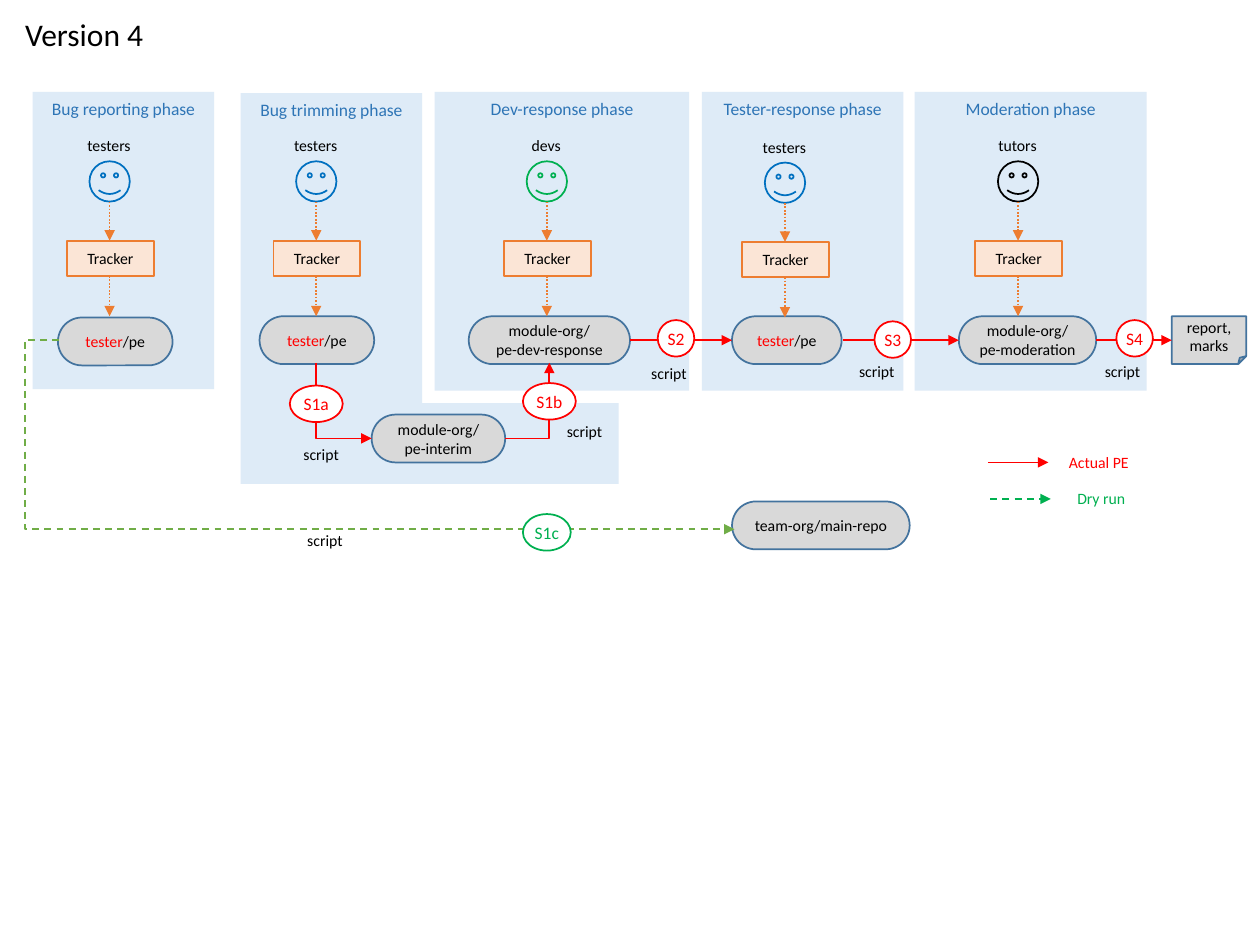
from lxml import etree
from pptx import Presentation
from pptx.dml.color import RGBColor
from pptx.enum.dml import MSO_LINE
from pptx.enum.shapes import MSO_CONNECTOR, MSO_SHAPE
from pptx.enum.text import MSO_ANCHOR, PP_ALIGN
from pptx.oxml.ns import qn
from pptx.util import Inches, Pt

TOP, MIDDLE = MSO_ANCHOR.TOP, MSO_ANCHOR.MIDDLE
LEFT, CENTER = PP_ALIGN.LEFT, PP_ALIGN.CENTER
DOT, DASH = MSO_LINE.ROUND_DOT, MSO_LINE.DASH
RECT, PILL = MSO_SHAPE.RECTANGLE, MSO_SHAPE.ROUNDED_RECTANGLE
FACE, NOTE = MSO_SHAPE.SMILEY_FACE, MSO_SHAPE.FOLDED_CORNER
BADGE = MSO_SHAPE.FLOWCHART_CONNECTOR
STRAIGHT, ELBOW = MSO_CONNECTOR.STRAIGHT, MSO_CONNECTOR.ELBOW

COLORS = {
    "panel": "DEEBF7", "heading": "2E75B6", "repo": "D9D9D9", "repo_line": "43739E",
    "tool": "FBE5D6", "orange": "ED7D31", "red": "FF0000", "green": "00B050",
    "dry": "70AD47", "blue": "0070C0", "black": "000000", "white": "FFFFFF",
}
REPO_TOP, REPO_HEIGHT = 2.51, 0.38
FLOW_Y = 2.7

PANELS = [  # left, top, width, height, heading
    (3.34, 3.2, 1.57, 0.64, ""),
    (7.26, 0.73, 1.84, 2.37, "Moderation phase"),
    (5.57, 0.73, 1.6, 2.37, "Tester-response phase"),
    (3.45, 0.73, 2.02, 2.37, "Dev-response phase"),
    (1.91, 0.74, 1.44, 3.1, "Bug trimming phase"),
    (0.26, 0.73, 1.44, 2.36, "Bug reporting phase"),
]
TRACKS = [  # center, shift down, role, face color
    (0.87, 0, "testers", "blue"),
    (2.51, 0, "testers", "blue"),
    (4.34, 0, "devs", "green"),
    (6.23, 0.01, "testers", "blue"),
    (8.08, 0, "tutors", "black"),
]
REPOS = [  # left, top, width, name
    (3.72, REPO_TOP, 1.28, "module-org/\npe-dev-response"),
    (7.61, REPO_TOP, 1.09, "module-org/\npe-moderation"),
    (2.95, 3.29, 1.06, "module-org/\npe-interim"),
    (5.81, 3.98, 1.41, "team-org/main-repo"),
]
TESTER_REPOS = [(0.46, 2.52, 0.91), (2.06, REPO_TOP, 0.91), (5.81, REPO_TOP, 0.87)]
FLOWS = [(5, 5.81), (6.69, 7.61), (8.7, 9.3)]
SCRIPT_LABELS = [(2.31, 3.48), (5.07, 2.84), (8.67, 2.82), (6.72, 2.82),
                 (4.4, 3.3), (2.34, 4.16)]
BADGES = [  # left, top, width, step, color
    (2.3, 3.06, 0.42, "S1a", "red"),
    (4.15, 3.04, 0.42, "S1b", "red"),
    (5.22, 2.54, 0.29, "S2", "red"),
    (6.94, 2.55, 0.29, "S3", "red"),
    (8.86, 2.54, 0.29, "S4", "red"),
    (4.15, 4.08, 0.38, "S1c", "green"),
]
LEGEND = [  # left, y, label, color, dash
    (7.84, 3.67, "Actual PE", "red", None),
    (7.86, 3.96, "Dry run", "green", DASH),
]


def rgb(name):
    return RGBColor.from_string(COLORS[name])


def write(box, text, size=9, color="black", align=CENTER, anchor=MIDDLE):
    frame = box.text_frame
    frame.word_wrap = True
    frame.vertical_anchor = anchor
    para = frame.paragraphs[0]
    para.text = text
    para.alignment = align
    para.font.name = "Calibri"
    para.font.size = Pt(size)
    para.font.color.rgb = rgb(color)
    return para


def add_label(page, left, top, width, text, height=0.25, **style):
    box = page.shapes.add_textbox(*map(Inches, (left, top, width, height)))
    write(box, text, anchor=TOP, **style)


def add_box(page, kind, left, top, width, height, fill=None, line=None):
    box = page.shapes.add_shape(kind, *map(Inches, (left, top, width, height)))
    box.shadow.inherit = False
    if fill:
        box.fill.solid()
        box.fill.fore_color.rgb = rgb(fill)
    else:
        box.fill.background()
    if line:
        box.line.color.rgb = rgb(line)
        box.line.width = Pt(1)
    else:
        box.line.fill.background()
    return box


def add_repo(page, left, top, width, name):
    box = add_box(page, PILL, left, top, width, REPO_HEIGHT, "repo", "repo_line")
    box.adjustments[0] = 0.5
    return write(box, name)


def add_tester_repo(page, left, top, width):
    para = add_repo(page, left, top, width, "tester")
    para.runs[0].font.color.rgb = rgb("red")
    para.add_run().text = "/pe"


def add_badge(page, left, top, width, step, color):
    box = add_box(page, BADGE, left, top, width, 0.29, "white", color)
    frame = box.text_frame
    frame.margin_left = frame.margin_right = frame.margin_top = frame.margin_bottom = 0
    write(box, step, 10, color)


def add_arrow(page, start, end, color, dash=None, kind=STRAIGHT, tip="a:tailEnd"):
    """Draw a connector with a triangle at its end, or at its start for a:headEnd."""
    arrow = page.shapes.add_connector(kind, *map(Inches, (*start, *end)))
    arrow.line.color.rgb = rgb(color)
    arrow.line.width = Pt(1)
    if dash:
        arrow.line.dash_style = dash
    etree.SubElement(arrow.line._get_or_add_ln(), qn(tip), type="triangle")
    etree.SubElement(arrow._element.spPr, qn("a:effectLst"))
    return arrow


def add_corner_arrow(page, start, end, color, tip="a:tailEnd"):
    """Draw an arrow with one right-angle bend, horizontal part first."""
    arrow = add_arrow(page, start, end, color, kind=ELBOW, tip=tip)
    arrow._element.spPr.find(qn("a:prstGeom")).set("prst", "bentConnector2")


def add_dry_run_arrow(page):
    arrow = add_arrow(page, (0.47, FLOW_Y), (5.83, 4.2), "dry", DASH, ELBOW)
    geometry = arrow._element.spPr.find(qn("a:prstGeom"))
    guides = geometry.find(qn("a:avLst"))
    if guides is None:
        guides = etree.SubElement(geometry, qn("a:avLst"))
    etree.SubElement(guides, qn("a:gd"), name="adj1", fmla="val -5100")


def add_track(page, center, shift, role, color):
    """Stack a role, its face and the tool, with arrows down to the repo."""
    add_label(page, center - 0.38, 1.03 + shift, 0.75, role)
    add_box(page, FACE, center - 0.16, 1.28 + shift, 0.32, 0.32, line=color)
    tool = add_box(page, RECT, center - 0.34, 1.91 + shift, 0.69, 0.28, "tool", "orange")
    write(tool, "Tracker")
    for top, bottom in ((1.6, 1.91), (2.19, REPO_TOP)):
        add_arrow(page, (center, top + shift), (center, bottom + shift), "orange", DOT)


def main():
    deck = Presentation()
    deck.slide_width, deck.slide_height = Inches(10), Inches(7.5)
    page = deck.slides.add_slide(deck.slide_layouts[6])

    add_label(page, 0.1, 0.07, 1.51, "Version 4", height=0.4, size=18, align=LEFT)
    for *frame, heading in PANELS:
        panel = add_box(page, RECT, *frame, "panel")
        if heading:
            write(panel, heading, 10, "heading", anchor=TOP)
    for repo in REPOS:
        add_repo(page, *repo)
    for repo in TESTER_REPOS:
        add_tester_repo(page, *repo)
    report = add_box(page, NOTE, 9.3, REPO_TOP, 0.59, REPO_HEIGHT, "repo", "repo_line")
    write(report, "report, marks")
    for track in TRACKS:
        add_track(page, *track)

    for start, end in FLOWS:
        add_arrow(page, (start, FLOW_Y), (end, FLOW_Y), "red")
    add_corner_arrow(page, (2.95, 3.48), (2.51, 2.88), "red", tip="a:headEnd")
    add_corner_arrow(page, (4.01, 3.48), (4.36, 2.88), "red")
    add_dry_run_arrow(page)
    for left, top in SCRIPT_LABELS:
        add_label(page, left, top, 0.56, "script", align=LEFT)
    for badge in BADGES:
        add_badge(page, *badge)
    for left, y, label, color, dash in LEGEND:
        add_arrow(page, (left, y), (left + 0.48, y), color, dash)
        add_label(page, left + 0.48, y - 0.13, 0.8, label, color=color)

    deck.save("out.pptx")


if __name__ == "__main__":
    main()
